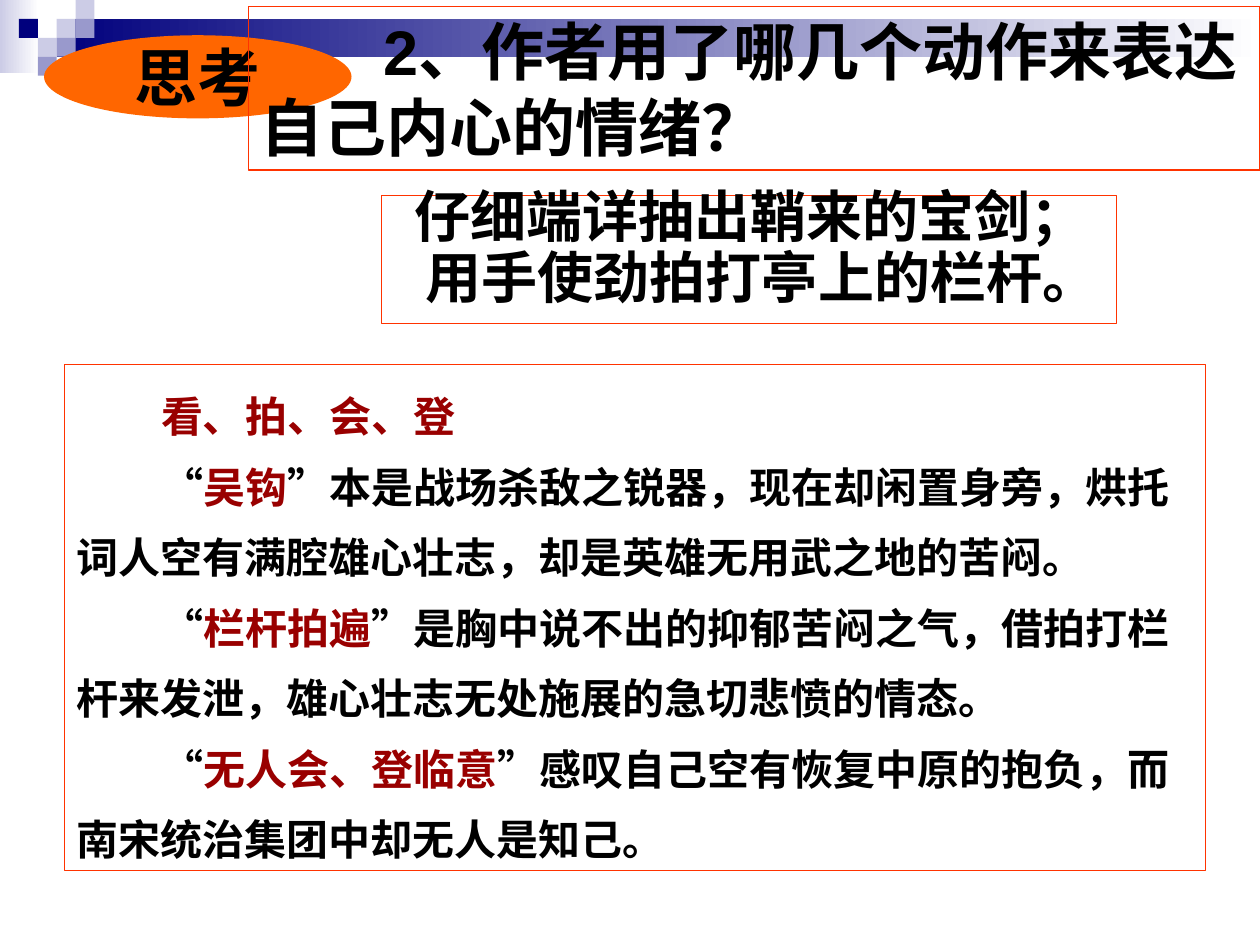
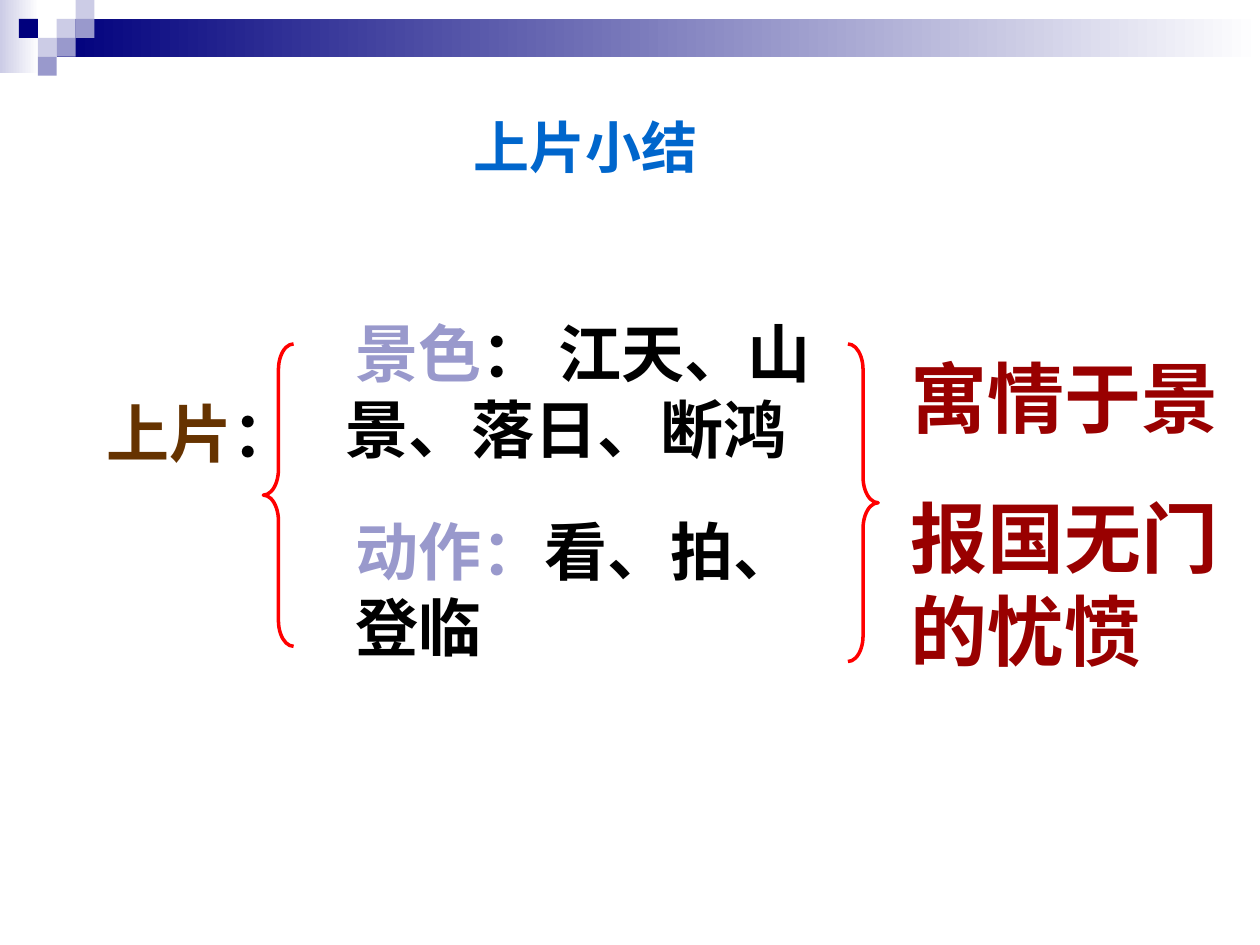
from dataclasses import dataclass

from lxml import etree
from pptx import Presentation
from pptx.dml.color import RGBColor
from pptx.enum.lang import MSO_LANGUAGE_ID
from pptx.enum.shapes import MSO_SHAPE
from pptx.enum.text import MSO_ANCHOR, MSO_AUTO_SIZE, PP_ALIGN
from pptx.oxml.ns import qn
from pptx.util import Inches, Pt

RECT, OVAL = MSO_SHAPE.RECTANGLE, MSO_SHAPE.OVAL
LEFT_BRACE, RIGHT_BRACE = MSO_SHAPE.LEFT_BRACE, MSO_SHAPE.RIGHT_BRACE
LEFT, CENTER = PP_ALIGN.LEFT, PP_ALIGN.CENTER
TOP, MIDDLE = MSO_ANCHOR.TOP, MSO_ANCHOR.MIDDLE
NO_FIT = MSO_AUTO_SIZE.NONE
CHINESE = MSO_LANGUAGE_ID.SIMPLIFIED_CHINESE

BLACK = RGBColor(0x00, 0x00, 0x00)
WHITE = RGBColor(0xFF, 0xFF, 0xFF)
NAVY = RGBColor(0x00, 0x00, 0x7D)
LILAC = RGBColor(0x99, 0x99, 0xCC)
PALE = RGBColor(0xCC, 0xCC, 0xE6)
ORANGE = RGBColor(0xFF, 0x66, 0x00)
FRAME = RGBColor(0xFF, 0x33, 0x00)
RED = RGBColor(0xFF, 0x00, 0x00)
MAROON = RGBColor(0x99, 0x00, 0x00)
BROWN = RGBColor(0x66, 0x33, 0x00)
BLUE = RGBColor(0x00, 0x66, 0xCC)

ARIAL, TIMES = "Arial", "Times New Roman"
HAN, HAN_JP = "Noto Sans CJK SC", "Noto Sans CJK JP"
LINE = 1.2  # line height of single spacing, in ems
TILE = 0.15


@dataclass
class Area:
    left: float
    top: float
    width: float
    height: float

    def sizes(self) -> tuple:
        return tuple(map(Inches, (self.left, self.top, self.width, self.height)))


@dataclass
class Span:
    text: str
    color: RGBColor = BLACK
    face: str = ""


@dataclass
class Para:
    spans: list
    indent: float = 0
    before: float = 0


@dataclass
class Style:
    size: float
    face: str = HAN
    han: str = HAN
    lines: float = 1
    align: int = LEFT
    anchor: int = TOP


# Text and shapes
def write(shape, paras: list, style: Style) -> None:
    frame = shape.text_frame
    frame.word_wrap = True
    frame.auto_size = NO_FIT
    frame.vertical_anchor = style.anchor
    frame.margin_left = frame.margin_right = Inches(0.1)
    frame.margin_top = frame.margin_bottom = Inches(0.05)
    for i, para in enumerate(paras):
        line = frame.add_paragraph() if i else frame.paragraphs[0]
        props = line._p.get_or_add_pPr()
        props.set("marL", "0")
        props.set("indent", str(Inches(para.indent)))
        etree.SubElement(props, qn("a:buNone"))
        line.alignment = style.align
        line.line_spacing = Pt(style.size * LINE * style.lines)
        line.space_before = Pt(para.before)
        for span in para.spans:
            run = line.add_run()
            run.text = span.text
            font = run.font
            font.size, font.bold = Pt(style.size), True
            font.color.rgb = span.color
            font.name = span.face or style.face
            font.language_id = CHINESE
            east = etree.SubElement(run._r.get_or_add_rPr(), qn("a:ea"))
            east.set("typeface", style.han)


def place(shape, area: Area):
    shape.left, shape.top, shape.width, shape.height = area.sizes()
    return shape


def outline(shape) -> None:
    shape.line.color.rgb = FRAME
    shape.line.width = Pt(0.75)


def draw(slide, kind: int, area: Area, fill: RGBColor = None, fade: bool = False):
    shape = slide.shapes.add_shape(kind, *area.sizes())
    shape.shadow.inherit = False
    shape.line.fill.background()
    if fade:
        shape.fill.gradient()
        shape.fill.gradient_angle = 0
        for stop, color in zip(shape.fill.gradient_stops, (fill, WHITE)):
            stop.color.rgb = color
    elif fill is None:
        shape.fill.background()
    else:
        shape.fill.solid()
        shape.fill.fore_color.rgb = fill
    return shape


def brace(slide, kind: int, area: Area) -> None:
    shape = draw(slide, kind, area)
    shape.adjustments[0] = 0.85
    shape.line.color.rgb = RED
    shape.line.width = Pt(2)


def label(slide, area: Area, paras: list, style: Style) -> None:
    write(slide.shapes.add_textbox(*area.sizes()), paras, style)


# Shared band and tiles, kept on the master
def dress(deck, slide) -> None:
    parts = [
        draw(slide, RECT, Area(0, 0, 0.31, 0.58), PALE, True),
        draw(slide, RECT, Area(0.45, 0.15, 9.55, 0.3), NAVY, True),
    ]
    tiles = [(3, 1, PALE), (4, 0, PALE), (4, 1, LILAC), (2, 2, PALE),
             (1, 1, NAVY), (3, 2, LILAC), (2, 3, LILAC)]
    for col, row, color in tiles:
        area = Area(col * TILE, row * TILE, TILE, TILE)
        parts.append(draw(slide, RECT, area, color))
    tree = deck.slide_master.shapes._spTree
    for i, part in enumerate(parts):
        part._element.nvSpPr.cNvPr.set("id", str(20 + i))
        tree.insert(2 + i, part._element)


def quote(words: str, rest: str) -> Para:
    return Para([Span("“", face=ARIAL), Span(words, MAROON),
                 Span("”", face=ARIAL), Span(rest)], indent=0.67)


# Slide 1: the question and its answers
def ask(slide) -> None:
    badge = draw(slide, OVAL, Area(0.35, 0.28, 2.44, 0.66), ORANGE)
    write(badge, [Para([Span("思考")])],
          Style(36, TIMES, align=CENTER, anchor=MIDDLE))
    slide.shapes._spTree.insert(2, badge._element)  # behind the title

    title = place(slide.shapes.title, Area(1.97, 0.05, 8.03, 1.3))
    outline(title)
    write(title, [Para([Span("2、作者用了哪几个动作来表达自己内心的情绪？")],
                       indent=0.97)], Style(36, ARIAL))

    body = place(slide.placeholders[1], Area(3.03, 1.55, 5.83, 1.02))
    outline(body)
    write(body, [Para([Span("仔细端详抽出鞘来的宝剑；")], indent=0.16),
                 Para([Span("用手使劲拍打亭上的栏杆。")], indent=0.25, before=8)],
          Style(32, ARIAL, lines=0.7))

    notes = draw(slide, RECT, Area(0.51, 2.89, 9.06, 4.02))
    outline(notes)
    write(notes, [
        Para([Span("看、拍、会、登", MAROON)], indent=0.67),
        quote("吴钩", "本是战场杀敌之锐器，现在却闲置身旁，烘托词人空有满腔"
              "雄心壮志，却是英雄无用武之地的苦闷。"),
        quote("栏杆拍遍", "是胸中说不出的抑郁苦闷之气，借拍打栏杆来发泄，"
              "雄心壮志无处施展的急切悲愤的情态。"),
        quote("无人会、登临意", "感叹自己空有恢复中原的抱负，而南宋统治集团中"
              "却无人是知己。"),
    ], Style(24, lines=1.4))


# Slide 2: summary between two braces
def sum_up(slide) -> None:
    title = place(slide.shapes.title, Area(3.19, 0.84, 2.91, 0.79))
    write(title, [Para([Span("上片小结", BLUE)])], Style(32, align=CENTER))

    label(slide, Area(0.75, 3.08, 1.5, 1.1),
          [Para([Span("上片", BROWN), Span("：")])], Style(36, TIMES))
    brace(slide, LEFT_BRACE, Area(2.09, 2.73, 0.24, 2.4))
    label(slide, Area(2.64, 2.45, 4.1, 1.3),
          [Para([Span("景色", LILAC), Span("： 江天、山景、落日、断鸿")],
                indent=0.08)], Style(36))
    label(slide, Area(2.72, 4.02, 4.02, 1.3),
          [Para([Span("动作：", LILAC), Span("看、拍、登临")])], Style(36))
    brace(slide, RIGHT_BRACE, Area(6.73, 2.73, 0.24, 2.52))
    label(slide, Area(7.13, 2.73, 2.87, 2.68),
          [Para([Span("寓情于景", MAROON)]),
           Para([Span("报国无门的忧愤", MAROON)], before=27.5)],
          Style(44, HAN_JP, HAN_JP))


def main() -> None:
    deck = Presentation()
    deck.slide_width, deck.slide_height = Inches(10), Inches(7.5)
    first = deck.slides.add_slide(deck.slide_layouts[1])
    dress(deck, first)
    ask(first)
    sum_up(deck.slides.add_slide(deck.slide_layouts[5]))
    deck.save("out.pptx")


if __name__ == "__main__":
    main()
